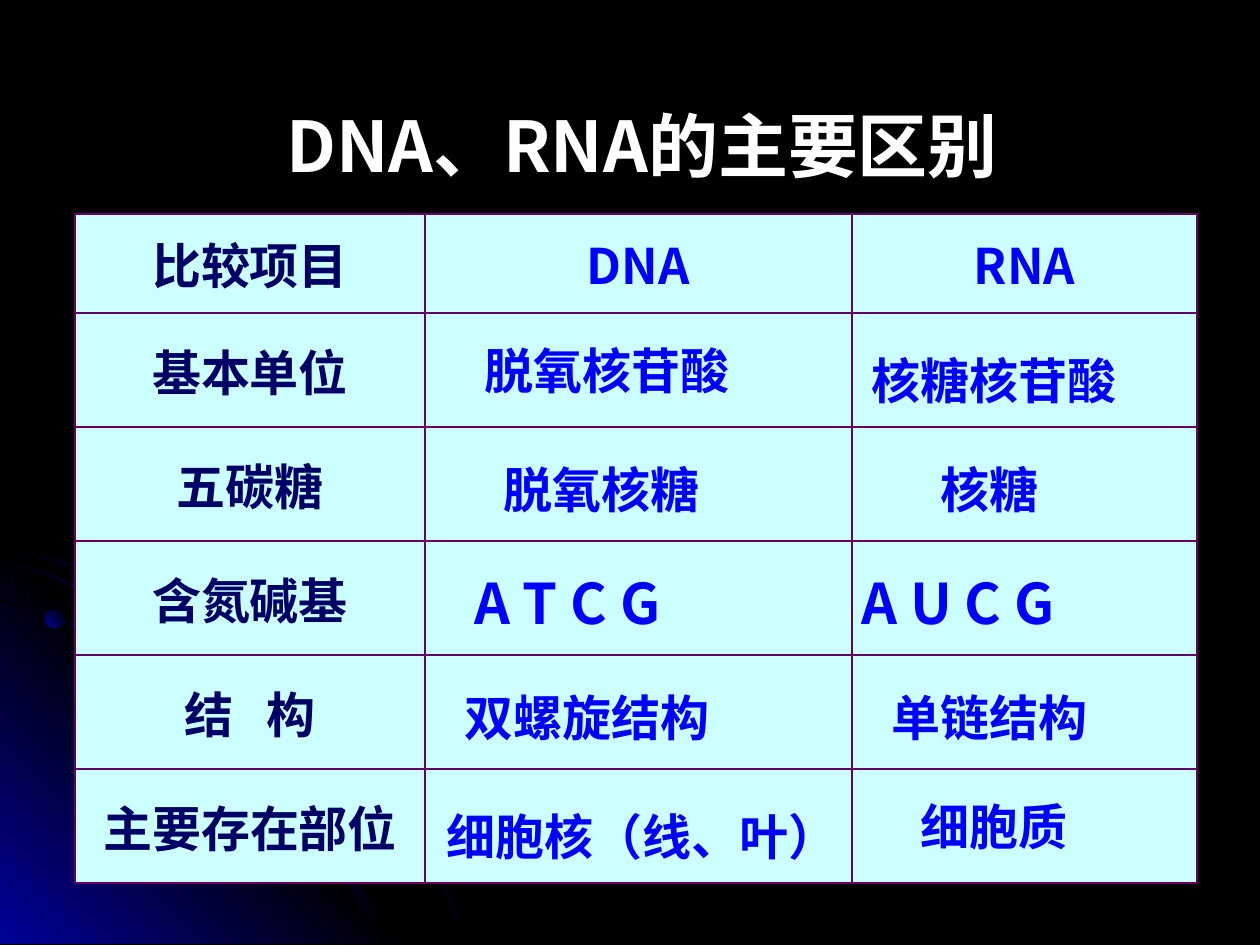
"""Build a slide that compares DNA and RNA in a table."""
from lxml.etree import SubElement
from pptx import Presentation
from pptx.dml.color import RGBColor
from pptx.enum.shapes import MSO_SHAPE as Kind
from pptx.enum.text import MSO_ANCHOR as Anchor, MSO_AUTO_SIZE as Fit, PP_ALIGN as Align
from pptx.oxml import parse_xml
from pptx.oxml.ns import nsdecls, qn
from pptx.util import Pt

PX = 914400 / 126
WIDE, HIGH = 1260, 945
FONT = "Noto Sans CJK SC"
BLACK, GLOW, NAVY, BLUE = "000000", "010199", "000066", "0000FF"
WHITE, PALE, PLUM = "FFFFFF", "CCFFFF", "660066"

TITLE = "DNA、RNA的主要区别"
HEADS = ["DNA", "RNA"]
ITEMS = ["比较项目", "基本单位", "五碳糖", "含氮碱基", "结 构", "主要存在部位"]
COLS = [350, 427, 345]
ROWS = [99] + [114] * 5
FACTS = [
    ("脱氧核苷酸", 472, 334, 272, 28), ("核糖核苷酸", 859, 344, 272, 28),
    ("脱氧核糖", 491, 453, 224, 28), ("核糖", 928, 453, 126, 28),
    ("A T C G", 462, 562, 261, 32), ("A U C G", 849, 562, 261, 32),
    ("双螺旋结构", 452, 681, 272, 28), ("单链结构", 879, 681, 224, 28),
    ("细胞核（线、叶）", 434, 800, 420, 28), ("细胞质", 908, 790, 175, 28),
]
CORNER = [(0, 538), (406, 944), (0, 944)]
OUTER = [(0, 548), (35, 555), (72, 563), (123, 578), (171, 601), (219, 626),
         (263, 656), (305, 690), (343, 728), (378, 770), (410, 816),
         (427, 848), (444, 879), (456, 911), (469, 944)]
INNER = [(0, 599), (52, 615), (100, 636), (147, 663), (192, 692), (232, 726),
         (271, 764), (305, 806), (335, 852), (360, 897), (373, 920), (382, 944)]
MIDDLE = [(0, 557), (49, 573), (96, 596), (140, 621), (181, 650), (221, 684),
          (257, 722), (289, 760), (320, 805), (339, 838), (355, 873),
          (370, 907), (382, 944)]


def emu(*nums):
    return [round(n * PX) for n in nums]


def tint(code):
    return RGBColor.from_string(code)


def put(frame, text, size=28, color=BLUE, align=Align.LEFT, gap=0):
    para = frame.paragraphs[0]
    para.alignment = align
    for part in text.partition(" ") if gap else [text]:
        run = para.add_run()
        run.text = part
        font = run.font
        font.size, font.bold, font.name = Pt(size), True, FONT
        font.color.rgb = tint(color)
        props = run._r.get_or_add_rPr()
        SubElement(props, qn("a:ea")).set("typeface", FONT)
        if part == " ":
            props.set("spc", str(gap * 100))


def draw(slide, points, edge, core, angle):
    pen = slide.shapes.build_freeform(*points[0], scale=PX)
    pen.add_line_segments(points[1:], close=True)
    shape = pen.convert_to_shape()
    shape.shadow.inherit = False
    shape.line.fill.background()
    stops = "".join(
        f'<a:gs pos="{at * 1000}"><a:srgbClr val="{code}"/></a:gs>'
        for at, code in [(0, edge), (50, core), (100, edge)])
    shape._element.spPr.find(qn("a:custGeom")).addnext(parse_xml(
        f'<a:gradFill {nsdecls("a")}><a:gsLst>{stops}</a:gsLst>'
        f'<a:lin ang="{angle * 60000}" scaled="0"/></a:gradFill>'))


def arc(slide, curve):
    back = [(max(x - 2, 0), min(y + 2, HIGH - 1)) for x, y in reversed(curve)]
    draw(slide, curve + back, BLACK, GLOW, 225)


def frame_cell(cell):
    cell.fill.solid()
    cell.fill.fore_color.rgb = tint(PALE)
    cell.vertical_anchor = Anchor.MIDDLE
    props = cell._tc.get_or_add_tcPr()
    for spot, side in enumerate("LRTB"):
        props.insert(spot, parse_xml(
            f'<a:ln{side} {nsdecls("a")} w="{Pt(1.08)}"><a:solidFill>'
            f'<a:srgbClr val="{PLUM}"/></a:solidFill></a:ln{side}>'))


def add_grid(slide):
    area = emu(75, 214, sum(COLS), sum(ROWS))
    grid = slide.shapes.add_table(len(ROWS), len(COLS), *area).table
    grid.first_row = grid.horz_banding = False
    for col, wide in zip(grid.columns, COLS):
        col.width, = emu(wide)
    for row, high in zip(grid.rows, ROWS):
        row.height, = emu(high)
    for cell in grid.iter_cells():
        frame_cell(cell)
    for row, item in enumerate(ITEMS):
        put(grid.cell(row, 0).text_frame, item, color=NAVY, align=Align.CENTER,
            gap=13 if " " in item else 0)
    for col, head in enumerate(HEADS, 1):
        put(grid.cell(0, col).text_frame, head, align=Align.CENTER)


def main():
    deck = Presentation()
    deck.slide_width, deck.slide_height = emu(WIDE, HIGH)
    slide = deck.slides.add_slide(deck.slide_layouts[5])
    slide.background.fill.solid()
    slide.background.fill.fore_color.rgb = tint(BLACK)

    arc(slide, OUTER)
    draw(slide, CORNER, GLOW, BLACK, 135)
    arc(slide, INNER)
    arc(slide, MIDDLE)
    dot = slide.shapes.add_shape(Kind.OVAL, *emu(45, 609, 19, 19))
    dot.shadow.inherit = False
    dot.line.fill.background()
    dot.fill.gradient()
    dot.fill.gradient_angle = 225
    for stop, code in zip(dot.fill.gradient_stops, [BLACK, GLOW]):
        stop.color.rgb = tint(code)

    add_grid(slide)
    title = slide.shapes.title
    title.left, title.top, title.width, title.height = emu(243, 96, 798, 97)
    title.text_frame.auto_size = Fit.NONE
    title.text_frame.vertical_anchor = Anchor.MIDDLE
    put(title.text_frame, TITLE, size=40, color=WHITE, align=Align.CENTER)

    for text, x, y, wide, size in FACTS:
        box = slide.shapes.add_textbox(*emu(x, y, wide, 81 if size == 32 else 72))
        box.text_frame.word_wrap = False
        box.text_frame.auto_size = Fit.SHAPE_TO_FIT_TEXT
        put(box.text_frame, text, size=size)
    deck.save("out.pptx")


if __name__ == "__main__":
    main()
